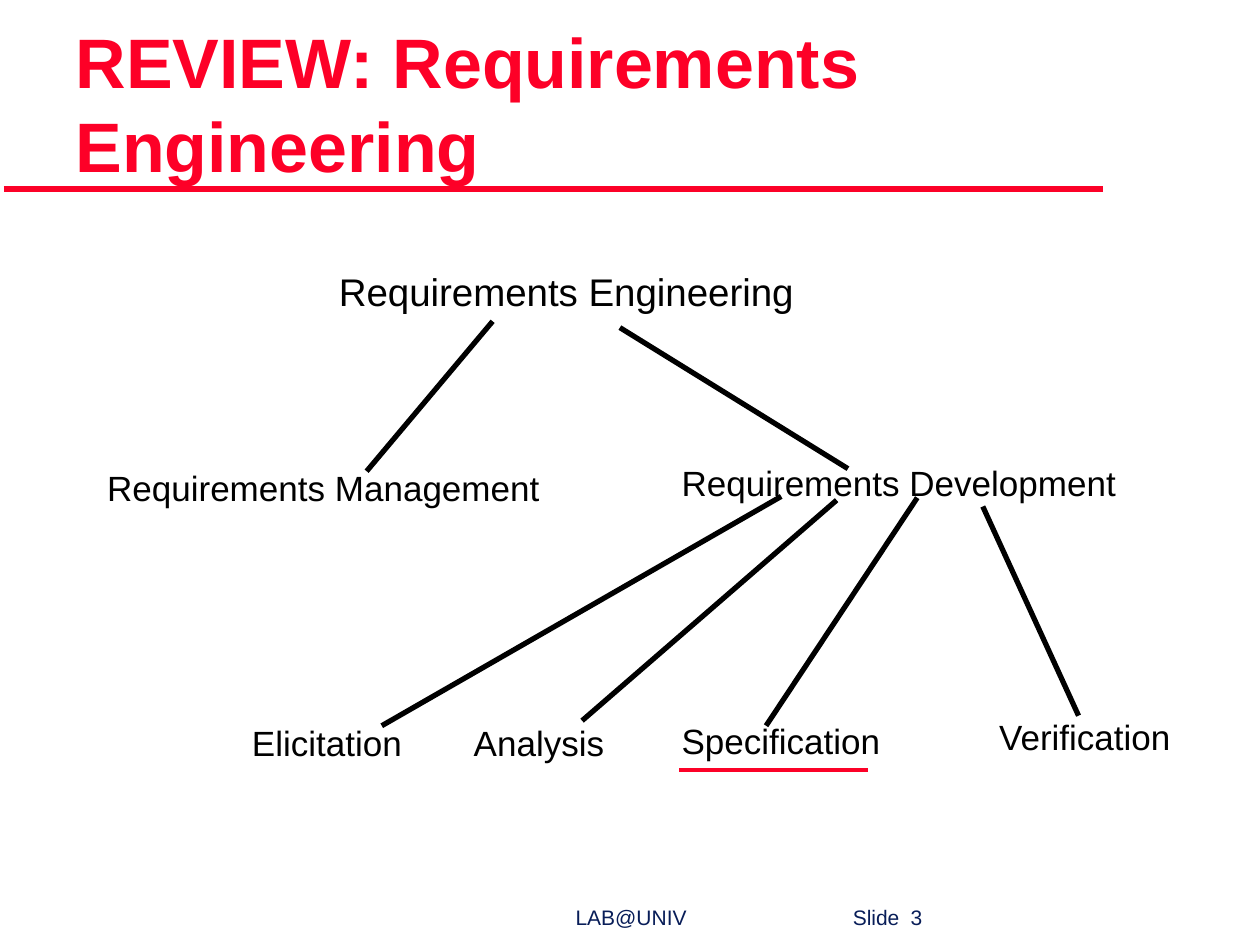
from dataclasses import dataclass

from lxml import etree
from pptx import Presentation
from pptx.dml.color import RGBColor
from pptx.enum.shapes import MSO_CONNECTOR
from pptx.enum.text import MSO_ANCHOR, MSO_AUTO_SIZE, PP_ALIGN
from pptx.oxml.ns import qn
from pptx.util import Inches, Length, Pt

STRAIGHT = MSO_CONNECTOR.STRAIGHT
BOTTOM = MSO_ANCHOR.BOTTOM
LEFT = PP_ALIGN.LEFT
FIT_SHAPE = MSO_AUTO_SIZE.SHAPE_TO_FIT_TEXT
NO_FIT = MSO_AUTO_SIZE.NONE

RED = RGBColor(0xFC, 0x01, 0x28)
TITLE_RED = RGBColor(0xFD, 0x00, 0x27)
NAVY = RGBColor(0x08, 0x1D, 0x58)
BLACK = RGBColor(0, 0, 0)
FONT = "Arial"

# The slide is a grid of 100 columns by 75 rows
COLS, ROWS = 100, 75
WIDTH, HEIGHT = Inches(10), Inches(7.5)


@dataclass
class Label:
    text: str
    col: float
    row: float
    cols: float
    rows: float = 4.5
    size: int = 20


@dataclass
class Line:
    start: tuple[float, float]
    end: tuple[float, float]
    color: RGBColor = BLACK
    weight: float = 3


LABELS = [
    Label("Requirements Engineering", 25.8, 20.7, 41.6, 4.8, 22),
    Label("Requirements Development", 53, 36, 39.4),
    Label("Requirements Management", 7.4, 36.4, 38.9),
    Label("Elicitation", 18.9, 56.7, 15.6),
    Label("Analysis", 36.5, 56.7, 13.8),
    Label("Specification", 53, 56.5, 19.7),
    Label("Verification", 78.2, 56.2, 17.4),
]

TITLE_RULE = Line((0.3, 15), (87.5, 15), RED, 4)
TREE_LINES = [
    Line((44.4, 25.7), (44.4, 25.7), weight=1),
    Line((39.1, 25.5), (29.1, 37.4)),
    Line((49.2, 26), (67.3, 37.2)),
    Line((62, 39.4), (30.3, 57.6)),
    Line((66.4, 39.7), (46.2, 57.2)),
    Line((72.8, 39.5), (60.8, 57.6)),
    Line((78, 40.2), (85.6, 56.8)),
    Line((53.9, 61.1), (68.9, 61.1), RED, 2.25),
]


def x(col: float) -> Length:
    return Length(round(WIDTH * col / COLS))


def y(row: float) -> Length:
    return Length(round(HEIGHT * row / ROWS))


def set_margins(tf, side: float, top: float) -> None:
    tf.margin_left = tf.margin_right = Inches(side)
    tf.margin_top = tf.margin_bottom = Inches(top)


def set_font(p, size: float, color: RGBColor, bold: bool = False) -> None:
    p.alignment = LEFT
    p.font.name = FONT
    p.font.size = Pt(size)
    p.font.bold = bold
    p.font.color.rgb = color


def add_line(s, line: Line) -> None:
    c = s.shapes.add_connector(STRAIGHT, x(line.start[0]), y(line.start[1]),
                               x(line.end[0]), y(line.end[1]))
    c.line.color.rgb = line.color
    c.line.width = Pt(line.weight)
    etree.SubElement(c._element.spPr, qn("a:effectLst"))


def add_label(s, label: Label, color: RGBColor = BLACK, wrap: bool = False,
              margins: tuple[float, float] = (0.11, 0.06)):
    sp = s.shapes.add_textbox(x(label.col), y(label.row),
                              x(label.cols), y(label.rows))
    tf = sp.text_frame
    tf.word_wrap = wrap
    tf.auto_size = FIT_SHAPE
    set_margins(tf, *margins)
    p = tf.paragraphs[0]
    p.text = label.text
    set_font(p, label.size, color)
    return p


def add_tab_stops(p, stops: list[float]) -> None:
    tabs = etree.Element(qn("a:tabLst"))
    for stop in stops:
        etree.SubElement(tabs, qn("a:tab"), pos=str(x(stop)), algn="l")
    p._p.get_or_add_pPr().find(qn("a:defRPr")).addprevious(tabs)


def set_title(s, text: str) -> None:
    sp = s.shapes.title
    sp.left, sp.top, sp.width, sp.height = x(5), y(1.7), x(90), y(13.7)
    tf = sp.text_frame
    tf.word_wrap = True
    tf.auto_size = NO_FIT
    tf.vertical_anchor = BOTTOM
    set_margins(tf, 0.1, 0.06)
    p = tf.paragraphs[0]
    p.text = text
    set_font(p, 40, TITLE_RED, bold=True)


def main() -> None:
    prs = Presentation()
    prs.slide_width, prs.slide_height = WIDTH, HEIGHT
    s = prs.slides.add_slide(prs.slide_layouts[5])

    # Title, its rule and the footer
    add_line(s, TITLE_RULE)
    footer = Label("\tLAB@UNIV\tSlide\t3", 6.2, 71.3, 90.4, 3, 12)
    p = add_label(s, footer, NAVY, wrap=True, margins=(0.1, 0.05))
    add_tab_stops(p, [38.5, 60.5, 65.1])
    set_title(s, "REVIEW: Requirements Engineering")

    # Requirements tree
    for label in LABELS:
        add_label(s, label)
    for line in TREE_LINES:
        add_line(s, line)

    prs.save("out.pptx")


if __name__ == "__main__":
    main()
